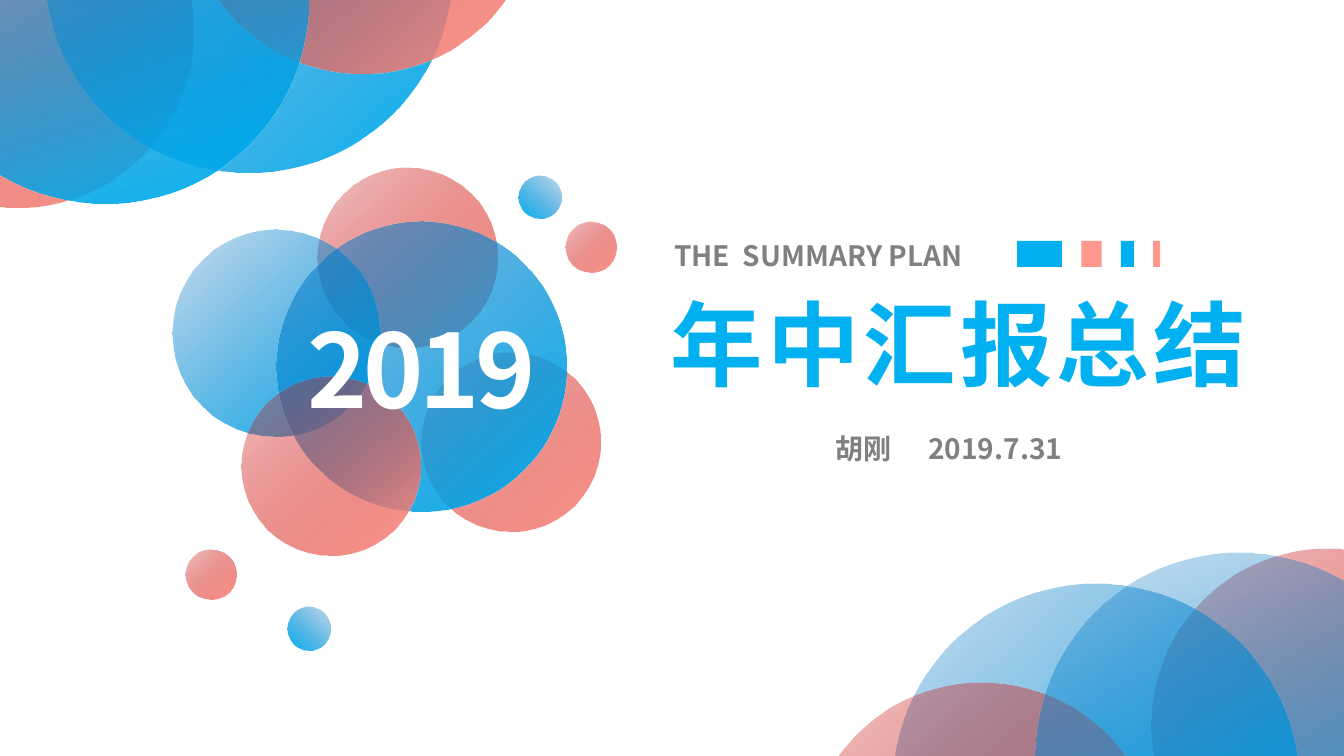
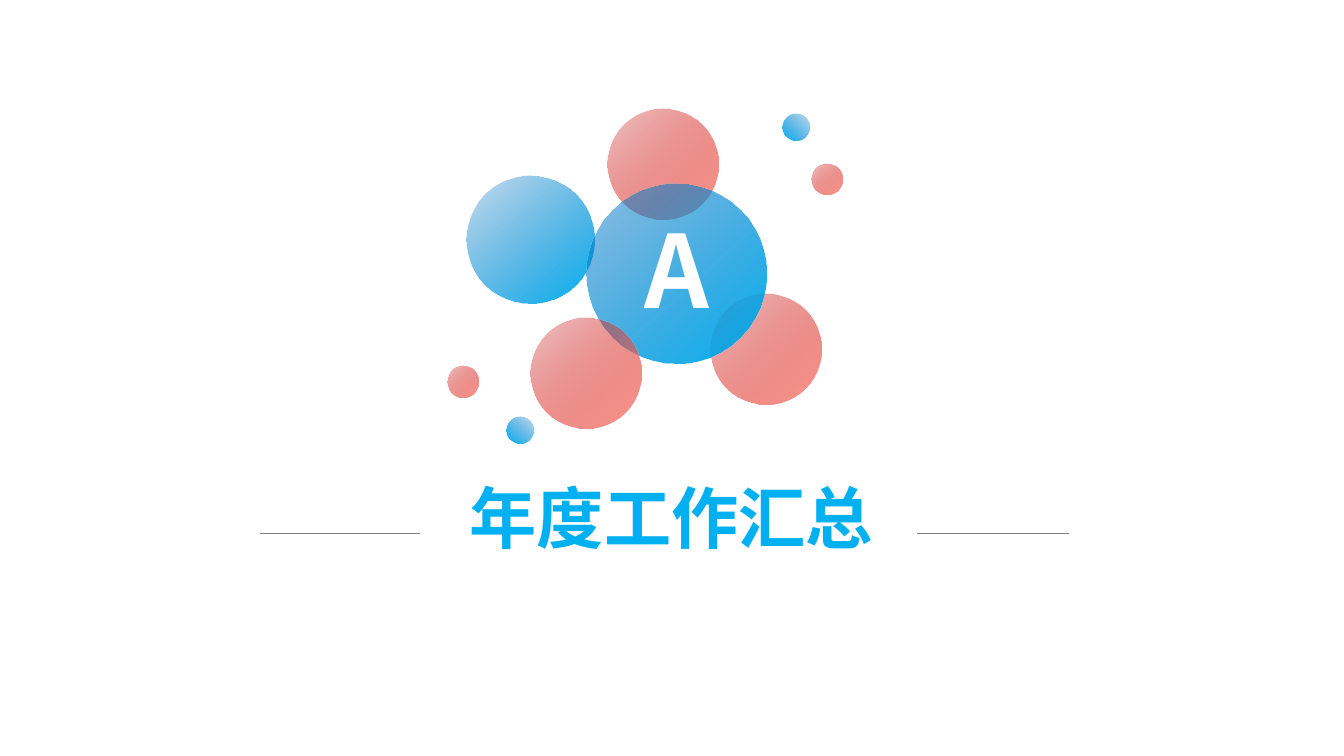
from lxml.etree import SubElement
from pptx import Presentation
from pptx.dml.color import RGBColor
from pptx.enum.shapes import MSO_CONNECTOR, MSO_SHAPE
from pptx.enum.text import MSO_ANCHOR, PP_ALIGN
from pptx.oxml.ns import qn
from pptx.util import Pt

FONT = "Noto Sans CJK SC"
BLUE, PINK, GRAY, WHITE = "00B0F0", "FE978C", "808080", "FFFFFF"
DEEP_SHADE = {BLUE: "0070C0", PINK: "C00000"}

PETALS = [
    (291, 184, 128, PINK, 22),
    (364.8, 315.8, 128, PINK, 22),
    (196.9, 237.9, 147.6, BLUE, 22),
    (301, 262, 207.4, BLUE, 44),
    (236.5, 333, 128, PINK, 22),
]
CORNER_CIRCLES = [
    (11.9, 22.3, 252, PINK, 48),
    (177.5, -22.3, 291, BLUE, 48),
    (258.8, -73.4, 252, PINK, 48),
    (75.2, 0, 291, BLUE, 72),
]
DOTS = [(31, BLUE, 132), (36.4, PINK, 48), (36.4, PINK, 48), (31, BLUE, 132)]
COVER_DOT_CENTRES = [(385.6, 140.8), (422, 176.4), (150.5, 410.4), (220.7, 449)]
SECTION_DOT_CENTRES = [(568.8, 91), (590.8, 127.8), (330.8, 272.5), (371.5, 307.4)]
BARS = [(726.5, 32, BLUE), (772.5, 14.5, PINK), (800.6, 9.4, BLUE), (823.7, 5, PINK)]


def color(value):
    return RGBColor.from_string(value)


def set_attributes(target, values):
    for name, value in values.items():
        setattr(target, name, value)


def add_plain_shape(slide, kind, left, top, width, height):
    shape = slide.shapes.add_shape(kind, Pt(left), Pt(top), Pt(width), Pt(height))
    shape.shadow.inherit = False
    shape.line.fill.background()
    return shape


def add_circle(slide, x, y, diameter, end_color, angle=48, opacity=22):
    radius = diameter / 2
    shape = add_plain_shape(slide, MSO_SHAPE.OVAL, x - radius, y - radius, diameter, diameter)
    shape.fill.gradient()
    shape.fill.gradient_angle = 360 - angle
    for stop, value in zip(shape.fill.gradient_stops, (DEEP_SHADE[end_color], end_color)):
        stop.color.rgb = color(value)
    start_color = next(shape._element.iter(qn("a:srgbClr")))
    SubElement(start_color, qn("a:alpha")).set("val", str(opacity * 1000))


def add_bar(slide, left, width, fill_color):
    shape = add_plain_shape(slide, MSO_SHAPE.RECTANGLE, left, 172, width, 18.7)
    shape.fill.solid()
    shape.fill.fore_color.rgb = color(fill_color)


def add_text(slide, text, box, size, text_color, align=PP_ALIGN.LEFT, spacing=0):
    shape = slide.shapes.add_textbox(*(Pt(length) for length in box))
    frame = shape.text_frame
    set_attributes(frame, {"word_wrap": True, "vertical_anchor": MSO_ANCHOR.MIDDLE})
    paragraph = frame.paragraphs[0]
    paragraph.alignment = align
    run = paragraph.add_run()
    run.text = text
    set_attributes(run.font, {"name": FONT, "size": Pt(size), "bold": True})
    run.font.color.rgb = color(text_color)
    properties = run.font._element
    SubElement(properties, qn("a:ea")).set("typeface", FONT)
    if spacing:
        properties.set("spc", str(spacing * 100))


def add_rule(slide, start, end, y):
    connector = slide.shapes.add_connector(
        MSO_CONNECTOR.STRAIGHT, Pt(start), Pt(y), Pt(end), Pt(y))
    connector.line.width = Pt(0.75)
    connector.line.color.rgb = color(GRAY)
    SubElement(connector._element.spPr, qn("a:effectLst"))


def add_bubbles(slide, dot_centres, shift_x=0, shift_y=0, scale=1):
    for x, y, diameter, end_color, opacity in PETALS:
        add_circle(slide, x + shift_x, y + shift_y, diameter * scale, end_color, opacity=opacity)
    for (x, y), (diameter, end_color, angle) in zip(dot_centres, DOTS):
        add_circle(slide, x, y, diameter * scale, end_color, angle)


def add_corners(slide):
    for x, y, diameter, end_color, angle in CORNER_CIRCLES:
        add_circle(slide, x, y, diameter, end_color, angle)
    for x, y, diameter, end_color, angle in CORNER_CIRCLES:
        add_circle(slide, 960.5 - x, 540 - y, diameter, end_color, angle)


def build_cover(slide):
    add_corners(slide)
    add_bubbles(slide, COVER_DOT_CENTRES)
    add_text(slide, "2019", (199.4, 213, 204, 99.4), 73, WHITE, PP_ALIGN.CENTER, -3)
    add_text(slide, "THE  SUMMARY PLAN", (474.5, 166.3, 240, 31.7), 20, GRAY)
    for left, width, fill_color in BARS:
        add_bar(slide, left, width, fill_color)
    add_text(slide, "年中汇报总结", (472, 200.9, 444, 87), 66, BLUE, spacing=3)
    add_text(slide, "胡刚", (589.5, 304.6, 60, 31.7), 20, GRAY)
    add_text(slide, "2019.7.31", (656, 304.6, 120, 31.7), 20, GRAY)


def build_section(slide):
    add_bubbles(slide, SECTION_DOT_CENTRES, 182.3, -66.6, 0.62)
    add_text(slide, "A", (420.5, 144.7, 126, 94.3), 72, WHITE, PP_ALIGN.CENTER, -3)
    add_text(slide, "年度工作汇总", (277.2, 336.2, 404.6, 65.5), 48, BLUE, PP_ALIGN.CENTER)
    for start, end in ((185.8, 300.2), (655.2, 763.9)):
        add_rule(slide, start, end, 380.9)


def main():
    presentation = Presentation()
    set_attributes(presentation, {"slide_width": Pt(960), "slide_height": Pt(540)})
    for build in (build_cover, build_section):
        build(presentation.slides.add_slide(presentation.slide_layouts[6]))
    presentation.save("out.pptx")


main()
